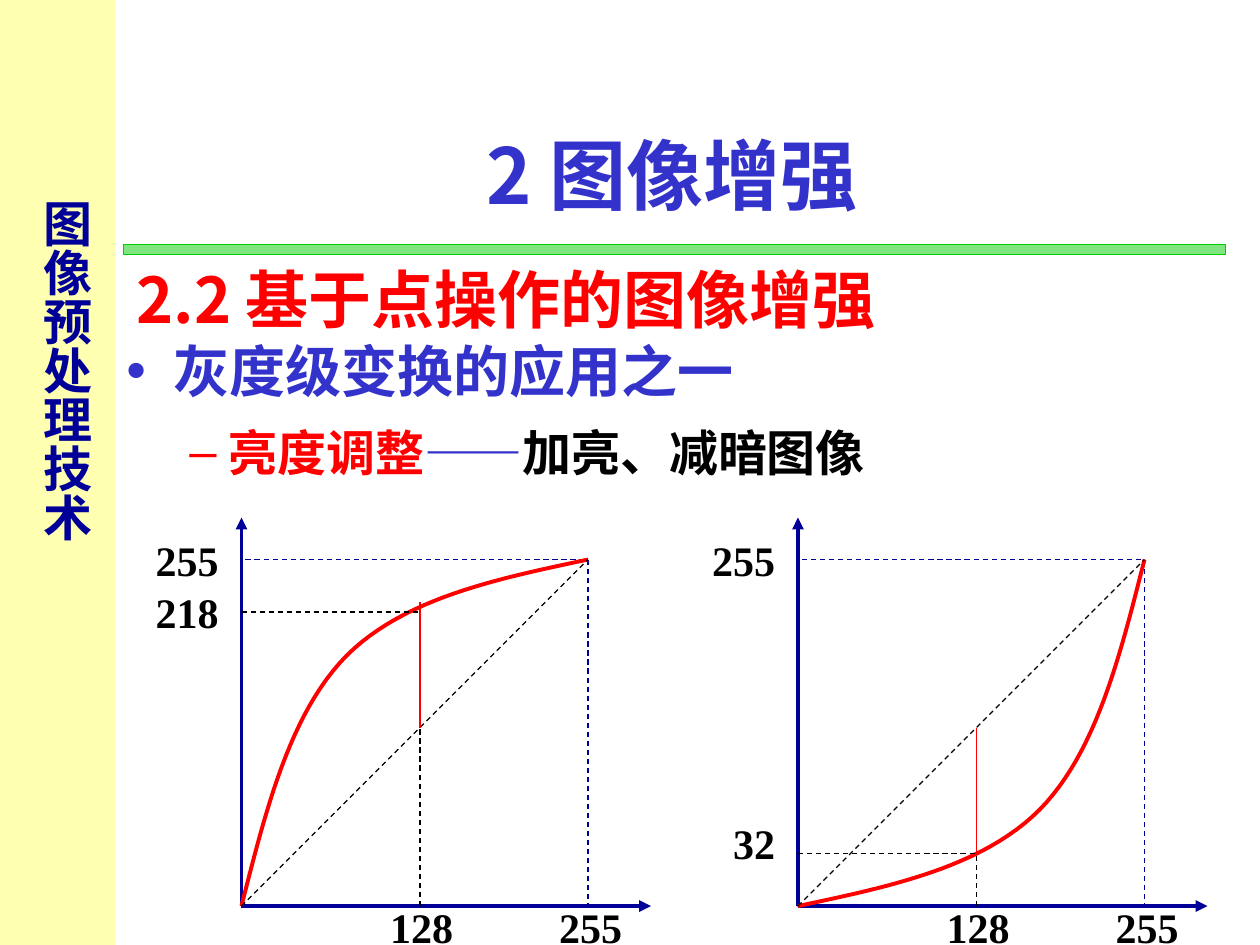
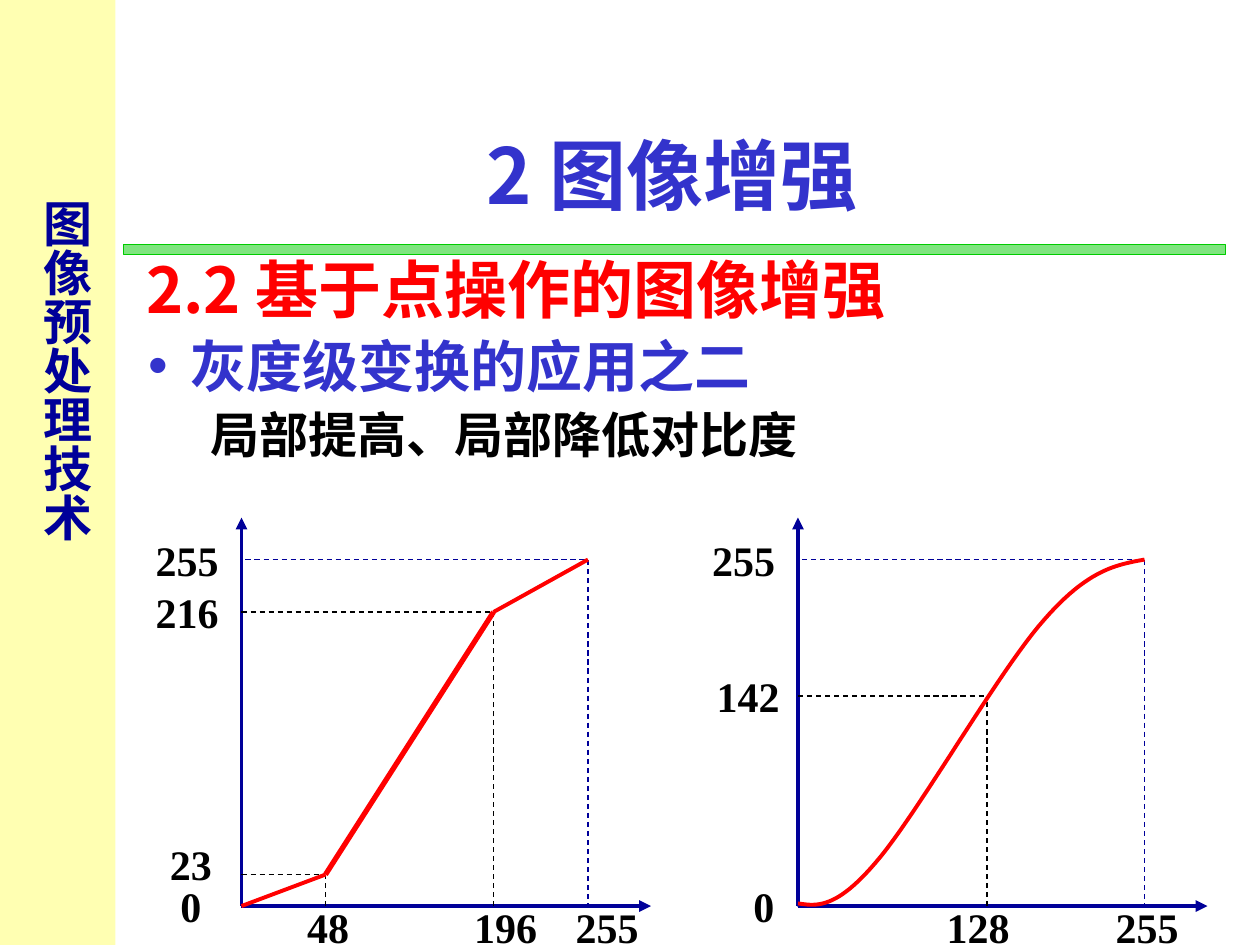
from dataclasses import dataclass

from lxml.etree import SubElement
from pptx import Presentation
from pptx.dml.color import RGBColor
from pptx.enum.dml import MSO_LINE
from pptx.enum.shapes import MSO_CONNECTOR, MSO_SHAPE
from pptx.enum.text import MSO_ANCHOR, MSO_AUTO_SIZE, PP_ALIGN
from pptx.oxml.ns import qn
from pptx.util import Pt


@dataclass(frozen=True)
class Theme:
    """Colours, fonts and sizes shared by all slides."""
    band: str = "FFFF66"
    rule: str = "00CC00"
    navy: str = "000099"
    blue: str = "3333CC"
    red: str = "FF0000"
    black: str = "000000"
    text_font: str = "Noto Sans CJK SC"
    number_font: str = "Times New Roman"
    title: int = 44
    heading: int = 36
    bullet: int = 32
    detail: int = 28
    number: int = 24
    thin: float = 0.74
    thick: float = 2.24
    heavy: float = 3


THEME = Theme()
SIDE = 198
GRAPH_TOP = 319.75
GRAPH_LEFTS = (138, 456)
LABEL_BELOW = SIDE + 12


def points(*lengths):
    """Convert numbers to lengths in points."""
    return [Pt(length) for length in lengths]


def rgb(color):
    """Turn a hex string into a colour."""
    return RGBColor.from_string(color)


def place(shape, box):
    """Move a shape to a box of left, top, width and height."""
    shape.left, shape.top, shape.width, shape.height = points(*box)


def format_run(run, size, color, font=THEME.text_font):
    """Give a run its bold font, size and colour."""
    run.font.size, run.font.bold, run.font.name = Pt(size), True, font
    run.font.color.rgb = rgb(color)
    SubElement(run._r.get_or_add_rPr(), qn("a:ea"), typeface=font)


def write_line(text_frame, text, size, color, font=THEME.text_font, align=PP_ALIGN.LEFT):
    """Fill a text frame with one formatted paragraph."""
    text_frame.text = text
    paragraph = text_frame.paragraphs[0]
    paragraph.alignment = align
    format_run(paragraph.runs[0], size, color, font)


def add_panel(slide, box, color, line=None):
    """Add a half-transparent rectangle."""
    shape = slide.shapes.add_shape(MSO_SHAPE.RECTANGLE, *points(*box))
    shape.shadow.inherit = False
    shape.fill.solid()
    shape.fill.fore_color.rgb = rgb(color)
    SubElement(next(shape.element.spPr.iter(qn("a:srgbClr"))), qn("a:alpha"), val="50000")
    if line:
        shape.line.color.rgb, shape.line.width = rgb(line), Pt(THEME.thin)
    else:
        shape.line.fill.background()


def add_sidebar(slide, box):
    """Add the yellow side band with its vertical course title."""
    left, top, width, height = box
    add_panel(slide, box, THEME.band)
    text_box = slide.shapes.add_textbox(*points(left + 13.7, top + 107, width - 18, 280))
    frame = text_box.text_frame
    frame.word_wrap = True
    frame.vertical_anchor = MSO_ANCHOR.MIDDLE
    frame.margin_left = frame.margin_right = Pt(3.6)
    frame.margin_top = frame.margin_bottom = Pt(7.2)
    frame._txBody.bodyPr.set("vert", "eaVert")
    write_line(frame, "图像预处理技术", THEME.detail, THEME.navy)


def add_header(slide, heading_box):
    """Add the title, the green rule and the section heading."""
    title = slide.shapes.title
    place(title, (78, 54, 612, 90))
    title.text_frame.vertical_anchor = MSO_ANCHOR.MIDDLE
    title.text_frame.auto_size = MSO_AUTO_SIZE.NONE
    write_line(title.text_frame, "2 图像增强", THEME.title, THEME.blue, align=PP_ALIGN.CENTER)
    add_panel(slide, (70.75, 139.8, 629.5, 5.8), THEME.rule, THEME.rule)
    heading = slide.shapes.add_textbox(*points(*heading_box))
    heading.text_frame.word_wrap = True
    write_line(heading.text_frame, "2.2 基于点操作的图像增强", THEME.heading, THEME.red)


def fill_body(slide, box, items):
    """Fill the body placeholder; an item is level, margin, indent, space, bullet, size, runs."""
    body = slide.placeholders[1]
    place(body, box)
    frame = body.text_frame
    frame.auto_size = MSO_AUTO_SIZE.NONE
    frame.text = "\n".join("" for _ in items)
    for paragraph, item in zip(frame.paragraphs, items):
        level, margin, indent, space, bullet, size, runs = item
        paragraph.level = level
        paragraph.alignment = PP_ALIGN.LEFT
        paragraph.line_spacing, paragraph.space_before = 1.1, Pt(space)
        properties = paragraph._p.get_or_add_pPr()
        properties.set("marL", str(Pt(margin)))
        properties.set("indent", str(Pt(indent)))
        if bullet:
            bullet_color = SubElement(properties, qn("a:buClr"))
            SubElement(bullet_color, qn("a:srgbClr"), val=runs[0][1])
            SubElement(properties, qn("a:buChar"), char=bullet)
        else:
            SubElement(properties, qn("a:buNone"))
        for text, color in runs:
            run = paragraph.add_run()
            run.text = text
            format_run(run, size, color)


class Graph:
    """A grey-level mapping graph, drawn relative to the corner of its frame."""

    def __init__(self, slide, left, top):
        """Draw the axes and the dashed frame."""
        self.shapes, self.left, self.top = slide.shapes, left, top
        self.line((0, SIDE), (SIDE + 36, SIDE), THEME.navy, THEME.thick, arrow=True)
        self.line((0, SIDE), (0, -24), THEME.navy, THEME.thick, arrow=True)
        frame = self.shapes.add_shape(MSO_SHAPE.RECTANGLE, *points(left, top, SIDE, SIDE))
        frame.shadow.inherit = False
        frame.fill.background()
        frame.line.color.rgb, frame.line.width = rgb(THEME.navy), Pt(THEME.thin)
        frame.line.dash_style = MSO_LINE.DASH

    def line(self, start, end, color, width, dashed=False, arrow=False):
        """Draw a straight line between two local points."""
        ends = [self.left + start[0], self.top + start[1], self.left + end[0], self.top + end[1]]
        connector = self.shapes.add_connector(MSO_CONNECTOR.STRAIGHT, *points(*ends))
        connector.line.color.rgb, connector.line.width = rgb(color), Pt(width)
        if dashed:
            connector.line.dash_style = MSO_LINE.DASH
        if arrow:
            SubElement(connector.line._get_or_add_ln(), qn("a:tailEnd"), type="triangle")
        SubElement(connector.element.spPr, qn("a:effectLst"))

    def guides(self, x, y):
        """Draw dashed lines from both axes to a point."""
        for end in ((x, SIDE), (0, y)):
            self.line(end, (x, y), THEME.black, THEME.thin, dashed=True)

    def gain(self, x, y):
        """Draw the diagonal and the red distance from it at x to y."""
        self.line((0, SIDE), (SIDE, 0), THEME.black, THEME.thin, dashed=True)
        self.line((x, y), (x, 96), THEME.red, THEME.thin)

    def curve(self, nodes, steps=24):
        """Draw a red chain of cubic Bezier arcs."""
        track = [nodes[0]]
        for first in range(0, len(nodes) - 1, 3):
            arc = nodes[first:first + 4]
            for step in range(1, steps + 1):
                t = step / steps
                weights = ((1 - t) ** 3, 3 * t * (1 - t) ** 2, 3 * t * t * (1 - t), t ** 3)
                track.append([sum(w * node[axis] for w, node in zip(weights, arc)) for axis in (0, 1)])
        track = [points(self.left + x, self.top + y) for x, y in track]
        builder = self.shapes.build_freeform(*track[0])
        builder.add_line_segments(track[1:], close=False)
        shape = builder.convert_to_shape()
        shape.shadow.inherit = False
        shape.fill.background()
        shape.line.color.rgb, shape.line.width = rgb(THEME.red), Pt(THEME.thick)

    def labels(self, entries):
        """Write numbers centred on local points."""
        for text, x, y in entries:
            width, height = 14.4 + 12 * len(text), 36
            box = (self.left + x - width / 2, self.top + y - height / 2, width, height)
            frame = self.shapes.add_textbox(*points(*box)).text_frame
            frame.word_wrap = False
            frame.vertical_anchor = MSO_ANCHOR.MIDDLE
            write_line(frame, text, THEME.number, THEME.black, THEME.number_font, PP_ALIGN.CENTER)


def start_slide(presentation, heading_box, body_box, items):
    """Add a slide with the shared parts, its list and two empty graphs."""
    slide = presentation.slides.add_slide(presentation.slide_layouts[1])
    add_sidebar(slide, (0, 0, 66, 540))
    add_header(slide, heading_box)
    fill_body(slide, body_box, items)
    return [Graph(slide, left, GRAPH_TOP) for left in GRAPH_LEFTS]


def add_brightness_slide(presentation):
    """Build the slide on brightening and darkening."""
    brighten, darken = start_slide(presentation, (70.9, 145.5, 574, 50.5), (65, 185, 582, 120), [
        (0, 27, -27, 0, "•", THEME.bullet, [("灰度级变换的应用之一", THEME.blue)]),
        (1, 58.5, -22.5, 7, "–", THEME.detail,
         [("亮度调整", THEME.red), ("——", THEME.blue), ("加亮、减暗图像", THEME.black)]),
    ])
    bright_nodes = [(0, 198), (14, 143), (27.5, 88), (60, 55), (93, 22), (146, 11), (198, 0)]
    dark_nodes = [(SIDE - x, SIDE - y) for x, y in bright_nodes]
    for graph, nodes, level, gain_end in ((brighten, bright_nodes, 30, 24), (darken, dark_nodes, 168, 168)):
        graph.curve(nodes)
        graph.guides(102, level)
        graph.gain(102, gain_end)
        graph.labels([("255", 199.5, LABEL_BELOW), ("128", 103, LABEL_BELOW), ("255", -31, 0)])
    brighten.labels([("218", -31, 30)])
    darken.labels([("32", -25, 162)])


def add_contrast_slide(presentation):
    """Build the slide on local contrast changes."""
    stretch, smooth = start_slide(presentation, (76.5, 139.5, 574, 50.5), (77.5, 182, 564.5, 102), [
        (0, 24, -24, 0, "•", THEME.bullet, [("灰度级变换的应用之二", THEME.blue)]),
        (1, 35.5, 0, 0, None, THEME.detail, [("局部提高、局部降低对比度", THEME.black)]),
    ])
    corners = [(0, SIDE), (48, 180), (144, 30), (SIDE, 0)]
    for corner in corners[1:3]:
        stretch.guides(*corner)
    for start, end, width in zip(corners, corners[1:], (THEME.thick, THEME.heavy, THEME.thick)):
        stretch.line(start, end, THEME.red, width)
    stretch.labels([
        ("48", 49.5, LABEL_BELOW), ("196", 151, LABEL_BELOW), ("255", 209, LABEL_BELOW),
        ("255", -31, 0), ("216", -31, 30), ("23", -29, 174), ("0", -29, SIDE),
    ])
    smooth.guides(108, 78)
    smooth.curve([(0, 196.5), (10.5, 198), (21.5, 200), (44.5, 173), (68, 146),
                  (115, 63), (141, 34), (166, 5.5), (182, 3), (198, 0)])
    smooth.labels([
        ("128", 103, LABEL_BELOW), ("255", 199.5, LABEL_BELOW),
        ("255", -31, 0), ("142", -28.5, 78), ("0", -19.5, SIDE),
    ])


def main():
    """Build and save the presentation."""
    presentation = Presentation()
    presentation.slide_width, presentation.slide_height = points(720, 540)
    add_brightness_slide(presentation)
    add_contrast_slide(presentation)
    presentation.save("out.pptx")


main()
